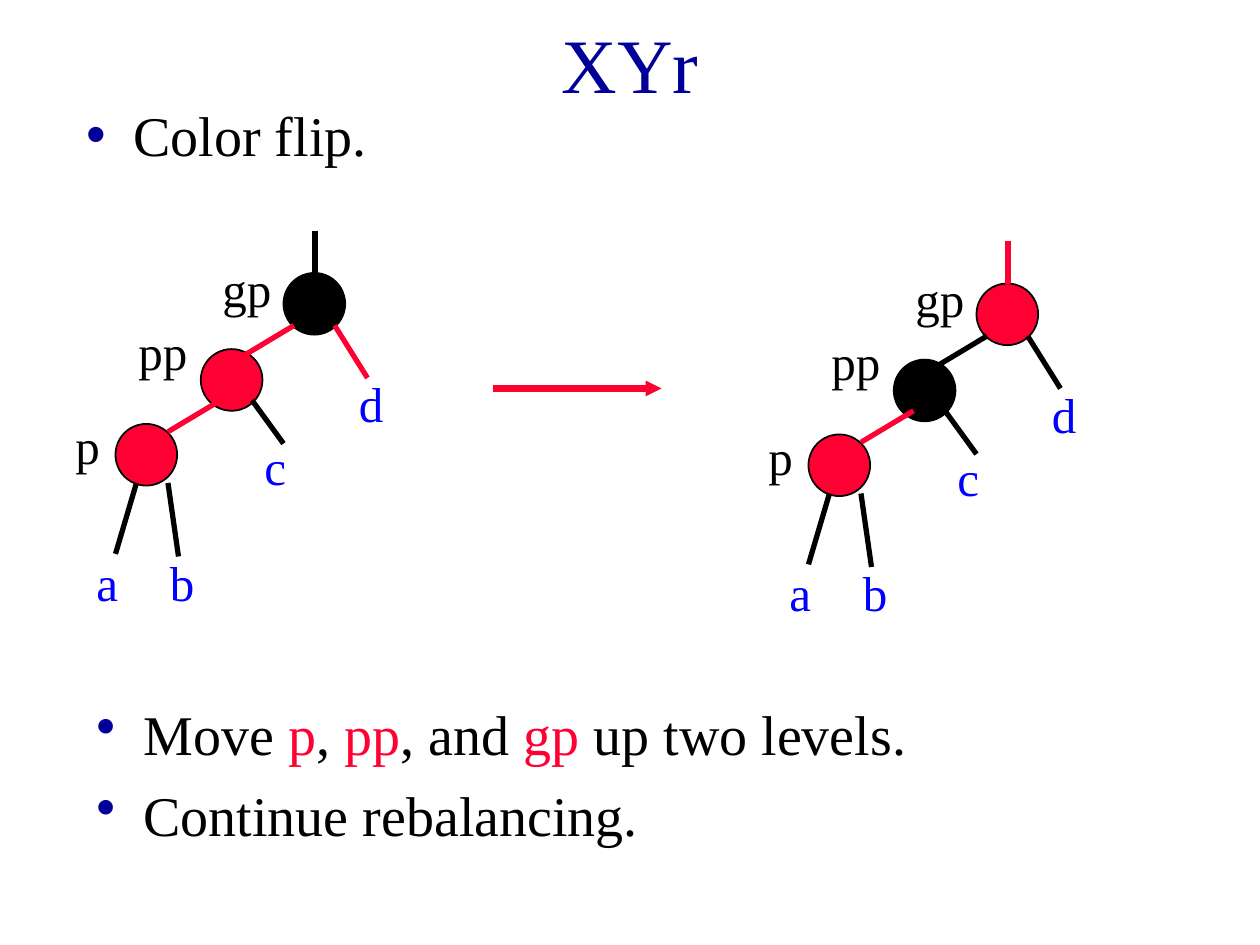
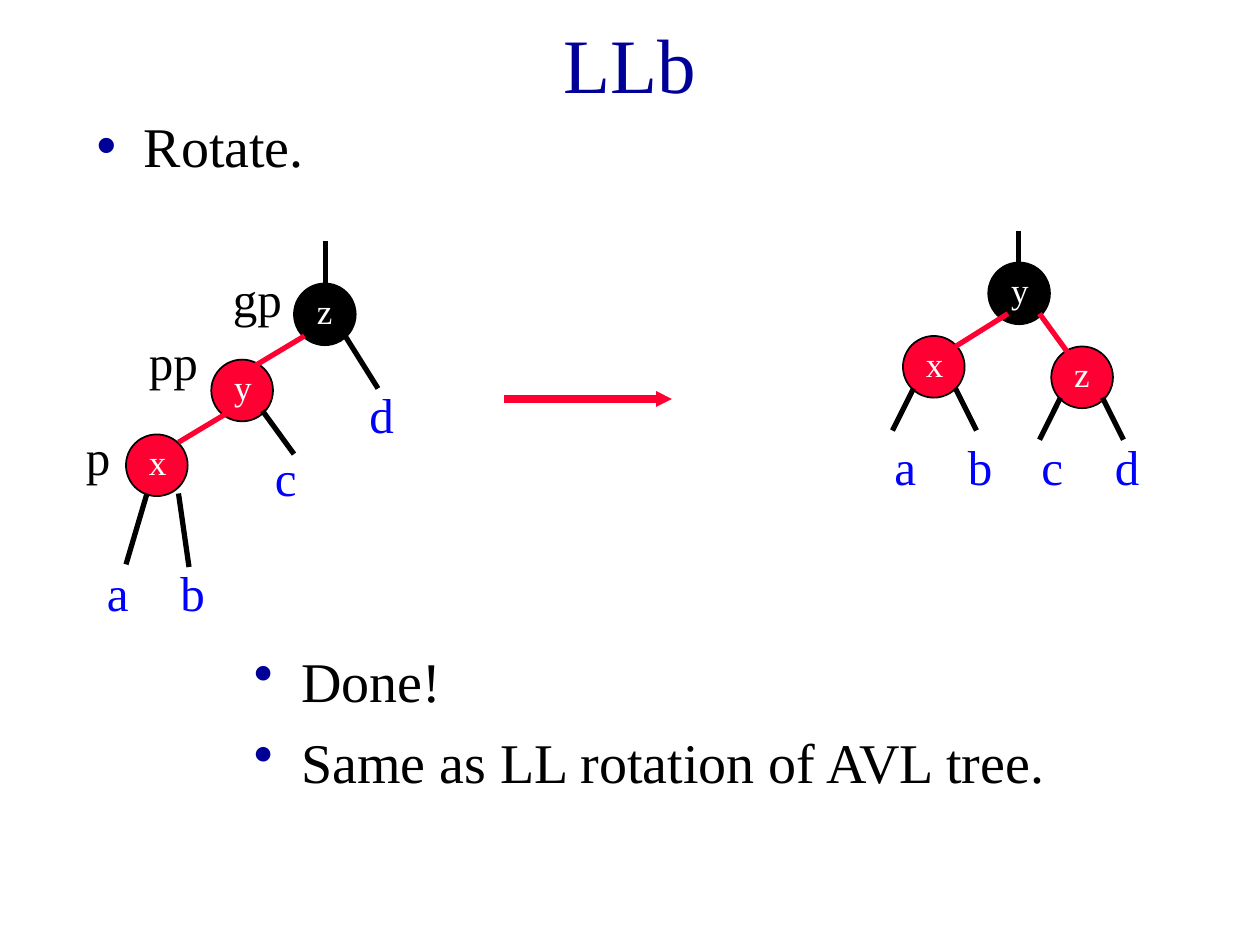
from dataclasses import dataclass

from lxml import etree
from pptx import Presentation
from pptx import util as u
from pptx.dml.color import RGBColor
from pptx.enum import shapes, text
from pptx.oxml import ns

PX = 9525


@dataclass(frozen=True)
class Theme:
    font: str = "Times New Roman"
    navy: str = "000099"
    black: str = "000000"
    red: str = "FF0033"
    blue: str = "0000FF"
    white: str = "FFFFFF"
    title: int = 44
    body: int = 32
    label: int = 28
    letter: int = 20
    edge: float = 3
    arrow: float = 4.5


theme = Theme()


def write_text(shape, box, paragraphs, size, space=0, bullet=False, **frame_format):
    for name, value in zip(("left", "top", "width", "height"), box):
        setattr(shape, name, value * PX)
    frame = shape.text_frame
    frame_format = {"word_wrap": True, "auto_size": text.MSO_AUTO_SIZE.NONE} | frame_format
    for name, value in frame_format.items():
        setattr(frame, name, value)
    for index, runs in enumerate(paragraphs):
        paragraph = frame.add_paragraph() if index else frame.paragraphs[0]
        paragraph.space_before = u.Pt(space)
        if bullet:
            properties = paragraph._p.get_or_add_pPr()
            properties.set("marL", str(36 * PX))
            properties.set("indent", str(-36 * PX))
            color = etree.SubElement(properties, ns.qn("a:buClr"))
            etree.SubElement(color, ns.qn("a:srgbClr"), val=theme.navy)
            etree.SubElement(properties, ns.qn("a:buChar"), char="•")
        for words, color in runs:
            run = paragraph.add_run()
            run.text = words
            for name, value in {"name": theme.font, "size": u.Pt(size)}.items():
                setattr(run.font, name, value)
            run.font.color.rgb = RGBColor.from_string(color)
    return frame


def add_line(parent, ends, color, width):
    line = parent.add_connector(shapes.MSO_CONNECTOR.STRAIGHT, *(end * PX for end in ends))
    line.line.color.rgb = RGBColor.from_string(color)
    line.line.width = u.Pt(width)
    etree.SubElement(line._element.spPr, ns.qn("a:effectLst"))
    return line


chain = {
    "nodes": {"pp": (153, 266), "p": (88, 323), "gp": (216, 208)},
    "edges": {
        "top": (240, 176, 240, 208),
        "gp-pp": (224, 248, 184, 272),
        "gp-d": (255, 248, 280, 288),
        "pp-p": (168, 305, 128, 329),
        "pp-c": (192, 305, 216, 338),
        "p-a": (104, 368, 88, 422),
        "p-b": (128, 368, 136, 424),
    },
    "subtrees": {"a": (64, 416), "b": (120, 416), "c": (192, 328), "d": (264, 280)},
    "names": {"gp": (160, 192, 64), "pp": (96, 240, 72), "p": (48, 312, 40)},
}
rotated = {
    "nodes": {"y": (753, 200), "x": (688, 256), "z": (801, 264)},
    "edges": {
        "top": (776, 176, 776, 208),
        "y-x": (768, 239, 728, 264),
        "y-z": (792, 239, 816, 272),
        "x-a": (696, 296, 680, 328),
        "x-b": (728, 296, 744, 328),
        "z-c": (808, 303, 792, 335),
        "z-d": (840, 303, 856, 335),
    },
    "subtrees": {name: (672 + 56 * index, 328) for index, name in enumerate("abcd")},
    "names": {},
}

slides = [
    {
        "title": "XYr",
        "intro": ("Color flip.", (56, 72, 816, 128)),
        "trees": [
            (chain, 0, 0, {"pp", "p", "gp-pp", "gp-d", "pp-p"}, {}),
            (chain, 528, 8, {"gp", "p", "top", "pp-p"}, {}),
        ],
        "arrow": (376, 296, 504, 296),
        "outcome": [
            [("Move ", theme.black), ("p", theme.red), (", ", theme.black), ("pp", theme.red),
             (", and ", theme.black), ("gp", theme.red), (" up two levels.", theme.black)],
            [("Continue rebalancing.", theme.black)],
        ],
        "outcome_box": (64, 528, 816, 88),
    },
    {
        "title": "LLb",
        "intro": ("Rotate.", (64, 80, 816, 88)),
        "trees": [
            (chain, 8, 8, {"pp", "p", "gp-pp", "pp-p"}, {"p": "x", "pp": "y", "gp": "z"}),
            (rotated, 0, 0, {"x", "z", "y-x", "y-z"}, {"x": "x", "y": "y", "z": "z"}),
        ],
        "arrow": (384, 304, 512, 304),
        "outcome": [
            [("Done!", theme.black)],
            [("Same as LL rotation of AVL tree.", theme.black)],
        ],
        "outcome_box": (184, 488, 712, 112),
    },
]

presentation = Presentation()
presentation.slide_width = 960 * PX
presentation.slide_height = 720 * PX

for content in slides:
    slide = presentation.slides.add_slide(presentation.slide_layouts[1])
    title, body = slide.placeholders
    frame = write_text(title, (72, 16, 816, 64), [[(content["title"], theme.navy)]], theme.title,
                       vertical_anchor=text.MSO_ANCHOR.MIDDLE)
    frame.paragraphs[0].alignment = text.PP_ALIGN.CENTER
    intro, intro_box = content["intro"]
    write_text(body, intro_box, [[(intro, theme.black)]], theme.body, 8, True)

    for tree, dx, dy, reds, letters in content["trees"]:
        group = slide.shapes.add_group_shape().shapes
        labels = []
        for name, (x, y) in tree["nodes"].items():
            node = group.add_shape(shapes.MSO_SHAPE.OVAL, (x + dx) * PX, (y + dy) * PX, 47 * PX, 47 * PX)
            node.shadow.inherit = False
            node.fill.solid()
            node.fill.fore_color.rgb = RGBColor.from_string(theme.red if name in reds else theme.black)
            node.line.color.rgb = RGBColor.from_string(theme.black)
            node.line.width = u.Pt(1)
            if name in letters:
                labels.append((letters[name], x + 8, y, 48, 41, theme.letter, theme.white))
        for name, (x1, y1, x2, y2) in tree["edges"].items():
            add_line(group, (x1 + dx, y1 + dy, x2 + dx, y2 + dy),
                     theme.red if name in reds else theme.black, theme.edge)
        for name, (x, y) in tree["subtrees"].items():
            labels.append((name, x, y, 48, 55, theme.label, theme.blue))
        for name, (x, y, width) in tree["names"].items():
            labels.append((name, x, y, width, 55, theme.label, theme.black))
        for words, x, y, width, height, size, color in labels:
            write_text(group.add_textbox(0, 0, 0, 0), (x + dx, y + dy, width, height),
                       [[(words, color)]], size, size * 0.625,
                       auto_size=text.MSO_AUTO_SIZE.SHAPE_TO_FIT_TEXT)
        group._recalculate_extents()

    arrow = add_line(slide.shapes, content["arrow"], theme.red, theme.arrow)
    etree.SubElement(arrow.line._get_or_add_ln(), ns.qn("a:tailEnd"), type="triangle", w="sm", len="sm")
    write_text(slide.shapes.add_textbox(0, 0, 0, 0), content["outcome_box"], content["outcome"],
               theme.body, 8, True)

presentation.save("out.pptx")
